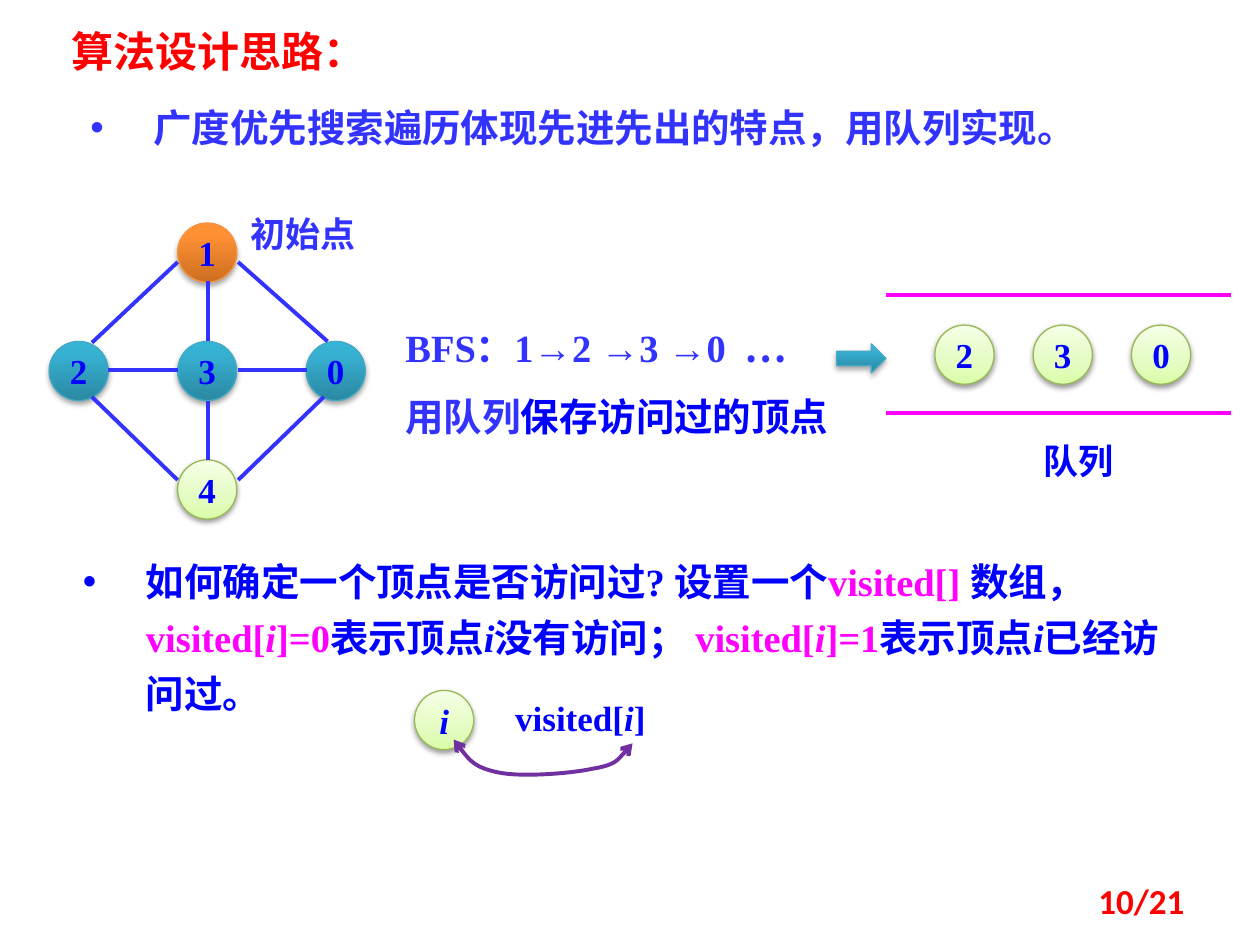
from lxml import etree
from pptx import Presentation
from pptx.dml.color import RGBColor
from pptx.enum.shapes import MSO_CONNECTOR, MSO_SHAPE
from pptx.enum.text import MSO_ANCHOR, PP_ALIGN
from pptx.oxml import parse_xml
from pptx.oxml.ns import nsdecls, qn
from pptx.util import Inches, Pt

LINE = MSO_CONNECTOR.STRAIGHT
OVAL, ARROW = MSO_SHAPE.OVAL, MSO_SHAPE.RIGHT_ARROW
LEFT, MID, RIGHT = PP_ALIGN.LEFT, PP_ALIGN.CENTER, PP_ALIGN.RIGHT
TOP, HALF = MSO_ANCHOR.TOP, MSO_ANCHOR.MIDDLE
CJK, ROMAN, SANS = "Noto Sans CJK SC", "Times New Roman", "Calibri"

COLORS = {"red": "FF0000", "iris": "3333FF", "blue": "0000FF",
          "pink": "FF00FF", "purple": "7030A0"}

# Gradient stops, outline, shadow opacity, shadow distance in points
LOOKS = {
    "teal": ([(0, "2A88A2"), (80, "37B1D2"), (100, "34B4D6")], "46AAC5", 35, 1.8),
    "orange": ([(0, "CC6E20"), (80, "FF9034"), (100, "FF9136")], "F69240", 35, 1.8),
    "green": ([(0, "DAFDA7"), (35, "E4FCC2"), (100, "F5FFE7")], "98B955", 38, 1.6),
}

# A run is (text, colour, font, italic); the last two may be left out
TITLE = [[("算法设计思路：", "red", CJK)]]
POINT = [[("广度优先搜索遍历体现先进先出的特点，用队列实现。", "iris", CJK)]]
START = [[("初始点", "iris", CJK)]]
PAGE = [[("10/21", "red", SANS)]]
ORDER = [
    [("BFS：1→2 →3 →0  ", "iris"), ("…", "iris", CJK)],
    [("用队列", "iris"), ("保存访问过的顶点", "blue")],
]
QUEUE = [[("队列", "blue")]]
CHECK = [[
    ("如何确定一个顶点是否访问过? 设置一个", "blue"), ("visited[] ", "pink"),
    ("数组， ", "blue"),
    ("visited[", "pink"), ("i", "pink", ROMAN, True), ("]=0", "pink"),
    ("表示顶点", "blue"), ("i", "blue", ROMAN, True), ("没有访问； ", "blue"),
    ("visited[", "pink"), ("i", "pink", ROMAN, True), ("]=1", "pink"),
    ("表示顶点", "blue"), ("i", "blue", ROMAN, True), ("已经访问过。", "blue"),
]]
FLAG = [[("visited[", "blue"), ("i", "blue", ROMAN, True), ("]", "blue")]]

# Vertex label, look, column and row from the centre vertex
NODES = [("3", "teal", 0, 0), ("2", "teal", -1, 0), ("0", "teal", 1, 0),
         ("1", "orange", 0, -1), ("4", "green", 0, 1)]
EDGES = [((0.73, 2.72), (1.41, 2.08)), ((0.86, 2.94), (1.41, 2.94)),
         ((1.89, 2.94), (2.44, 2.94)), ((0.73, 3.15), (1.41, 3.81)),
         ((1.89, 2.08), (2.6, 2.71)), ((1.89, 3.81), (2.57, 3.15)),
         ((1.65, 3.18), (1.65, 3.65)), ((1.65, 2.23), (1.65, 2.71))]
QUEUED = ["2", "3", "0"]
RAILS = [2.34, 3.28]
# Start point, then three points for each Bezier piece
CURVE = [(3.6, 5.87), (3.68, 5.98), (3.76, 6.09), (3.95, 6.13),
         (4.13, 6.17), (4.53, 6.14), (4.71, 6.1),
         (4.89, 6.07), (4.95, 5.98), (5.02, 5.9)]
SIZE = 0.47
STEP_X, STEP_Y = 1.02, 0.94

prs = Presentation()
prs.slide_width, prs.slide_height = Inches(10), Inches(7.5)
slide = prs.slides.add_slide(prs.slide_layouts[6])
shapes = slide.shapes


def color(name):
    return RGBColor.from_string(COLORS[name])


def write(frame, paras, size, align=LEFT, spacing=None, bullet=False):
    for num, runs in enumerate(paras):
        para = frame.paragraphs[0] if num == 0 else frame.add_paragraph()
        para.alignment = align
        if spacing:
            para.line_spacing = spacing
        if bullet:
            props = para._p.get_or_add_pPr()
            props.set("marL", str(Inches(0.5)))
            props.set("indent", str(Inches(-0.5)))
            font = etree.SubElement(props, qn("a:buFont"))
            font.set("typeface", "Arial")
            etree.SubElement(props, qn("a:buChar")).set("char", "•")
        for text, tint, *rest in runs:
            face, slant = rest + [ROMAN, False][len(rest):]
            run = para.add_run()
            run.text = text
            form = {"size": Pt(size), "bold": True, "italic": slant, "name": face}
            for key, value in form.items():
                setattr(run.font, key, value)
            run.font.color.rgb = color(tint)
            east = etree.SubElement(run._r.get_or_add_rPr(), qn("a:ea"))
            east.set("typeface", CJK)


def label(place, paras, size, anchor=TOP, **form):
    frame = shapes.add_textbox(*map(Inches, place)).text_frame
    frame.word_wrap = True
    frame.vertical_anchor = anchor
    write(frame, paras, size, **form)


def glossy(kind, place, look):
    """Add a shape with a vertical gradient and a soft shadow below it."""
    stops, edge, alpha, drop = LOOKS[look]
    shape = shapes.add_shape(kind, *map(Inches, place))
    shape.line.color.rgb = RGBColor.from_string(edge)
    shape.line.width = Pt(0.75)
    shape.shadow.inherit = False
    marks = "".join(f'<a:gs pos="{pos * 1000}"><a:srgbClr val="{tint}"/></a:gs>'
                    for pos, tint in stops)
    props = shape._element.spPr
    props.find(qn("a:prstGeom")).addnext(parse_xml(
        f'<a:gradFill {nsdecls("a")} rotWithShape="1"><a:gsLst>{marks}</a:gsLst>'
        '<a:lin ang="16200000" scaled="0"/></a:gradFill>'))
    props.find(qn("a:effectLst")).append(parse_xml(
        f'<a:outerShdw {nsdecls("a")} blurRad="{Pt(3.1)}" dist="{Pt(drop)}" '
        'dir="5400000" rotWithShape="0"><a:srgbClr val="000000">'
        f'<a:alpha val="{alpha * 1000}"/></a:srgbClr></a:outerShdw>'))
    return shape


def node(text, left, top, look="green", slant=False):
    frame = glossy(OVAL, (left, top, SIZE, SIZE), look).text_frame
    frame.word_wrap = False
    frame.vertical_anchor = HALF
    write(frame, [[(text, "blue", ROMAN, slant)]], 20, MID)


def link(start, end, tint):
    line = shapes.add_connector(LINE, *map(Inches, start + end))
    line.line.color.rgb = color(tint)
    line.line.width = Pt(2.25)
    etree.SubElement(line._element.spPr, qn("a:effectLst"))


def bend(points, tint):
    """Draw an open Bezier curve with an arrowhead at each end."""
    first, *others = [(Inches(x), Inches(y)) for x, y in points]
    pen = shapes.build_freeform(*first)
    pen.add_line_segments(others, close=False)
    shape = pen.convert_to_shape()
    shape.fill.background()
    shape.line.color.rgb = color(tint)
    shape.line.width = Pt(2.25)
    shape.shadow.inherit = False
    props = shape._element.spPr
    legs = list(props.iter(qn("a:lnTo")))
    for num in range(0, len(legs), 3):
        piece = etree.Element(qn("a:cubicBezTo"))
        legs[num].addprevious(piece)
        for leg in legs[num:num + 3]:
            piece.append(leg[0])
            leg.getparent().remove(leg)
    for end in ("a:headEnd", "a:tailEnd"):
        etree.SubElement(props.find(qn("a:ln")), qn(end)).set("type", "arrow")


label((0.62, 0.78, 8.2, 0.47), POINT, 22, bullet=True)
label((0.47, 0.15, 2.81, 0.5), TITLE, 24)

for text, look, col, row in NODES:
    node(text, 1.41 + col * STEP_X, 2.71 + row * STEP_Y, look)
for start, end in EDGES:
    link(start, end, "iris")
label((1.82, 1.64, 1.17, 0.44), START, 20, align=MID)

label((7.17, 6.95, 2.33, 0.4), PAGE, 20, HALF, align=RIGHT)
label((3.12, 2.34, 3.67, 1.21), ORDER, 22, spacing=1.5)

label((8.05, 3.44, 1.02, 0.44), QUEUE, 20, align=MID)
for num, text in enumerate(QUEUED):
    node(text, 7.42 + num * 0.78, 2.58)
for y in RAILS:
    link((7.03, y), (9.77, y), "pink")
glossy(ARROW, (6.64, 2.73, 0.39, 0.23), "teal")

label((0.56, 4.3, 8.82, 1.45), CHECK, 22, spacing=Pt(32), bullet=True)
node("i", 3.29, 5.48, slant=True)
label((3.99, 5.48, 1.25, 0.44), FLAG, 20)
bend(CURVE, "purple")

prs.save("out.pptx")
